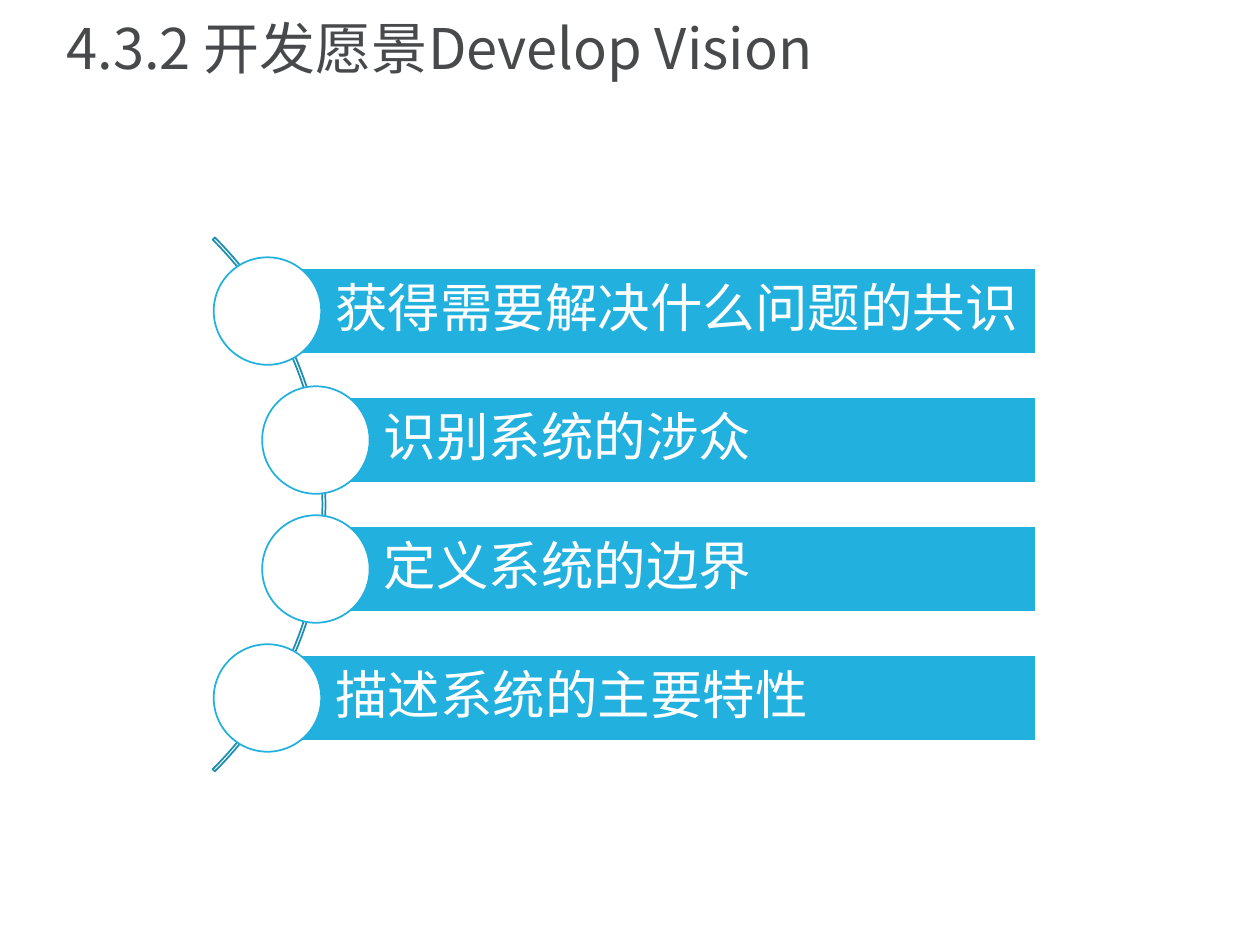
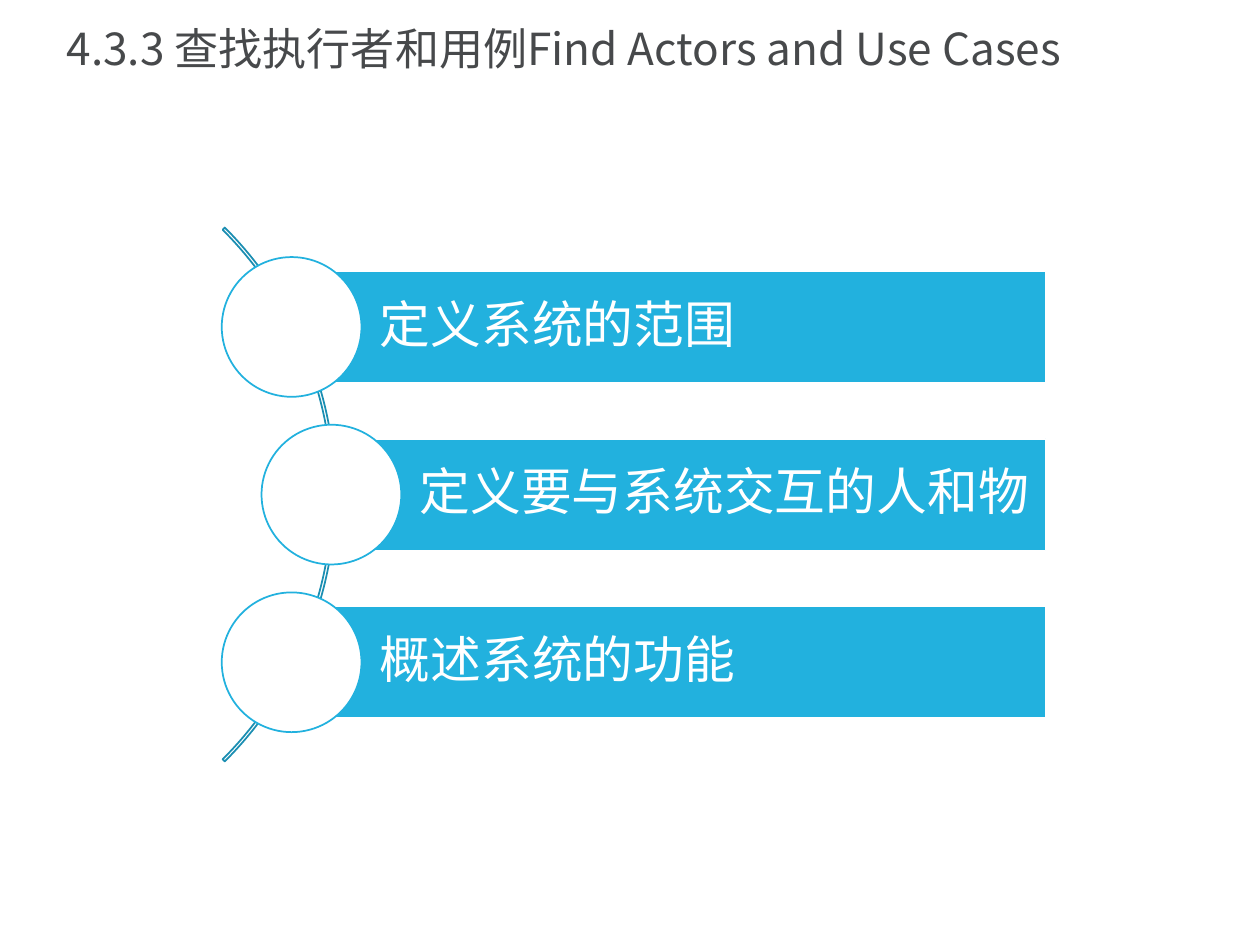
from math import sqrt

from pptx import Presentation
from pptx.dml.color import RGBColor
from pptx.enum.shapes import MSO_SHAPE as Kind
from pptx.enum.text import MSO_ANCHOR as Anchor, MSO_AUTO_SIZE as Auto, PP_ALIGN as Align
from pptx.oxml.ns import qn
from pptx.util import Cm, Pt

# Lengths in cm: hub is the centre of the arc, pitch the step between bars.
SLIDES = [
    {
        "title": "4.3.2 开发愿景Develop Vision", "size": 32,
        "hub": (-1.05, 10.17), "pitch": 2.6, "text": 30,
        "goals": ["获得需要解决什么问题的共识", "识别系统的涉众",
                  "定义系统的边界", "描述系统的主要特性"],
    },
    {
        "title": "4.3.3 查找执行者和用例Find Actors and Use Cases", "size": 25.2,
        "hub": (-0.85, 9.97), "pitch": 3.38, "text": 29,
        "goals": ["定义系统的范围", "定义要与系统交互的人和物", "概述系统的功能"],
    },
]

BLUE, DEEP, WHITE, GREY = "22B1DE", "1B8EB2", "FFFFFF", "47494B"
HEAD_FONT, BODY_FONT = "Noto Sans CJK SC", "Calibri"
TITLE_BOX = (1.09, 0.15, 22.99, 1.78)
ARC_R = 7.61    # outer radius of the arc
RING_R = 7.53   # radius on which the dots sit
REACH = 21.93   # from the hub to the right end of the bars
PAD = 0.2


def rgb(code):
    return RGBColor.from_string(code)


def style(item, **values):
    for name, value in values.items():
        setattr(item, name, value)


def write(shape, text, size, font, color):
    frame = shape.text_frame
    frame.text = text
    style(frame, word_wrap=True, auto_size=Auto.NONE, vertical_anchor=Anchor.MIDDLE)
    para = frame.paragraphs[0]
    style(para, alignment=Align.LEFT, line_spacing=0.9)
    run = para.runs[0]
    style(run.font, name=font, size=Pt(size))
    run.font.color.rgb = rgb(color)
    return run


def draw(slide, kind, box, line, fill=None):
    shape = slide.shapes.add_shape(kind, *map(Cm, box))
    shape.shadow.inherit = False
    if fill:
        shape.fill.solid()
        shape.fill.fore_color.rgb = rgb(fill)
    else:
        shape.fill.background()
    shape.line.color.rgb = rgb(line)
    shape.line.width = Pt(1)
    return shape


def disc(x, y, r):
    """Box of a circle with centre x, y and radius r."""
    return x - r, y - r, 2 * r, 2 * r


def add_title(slide, text, size):
    title = slide.shapes.title
    style(title, **dict(zip(("left", "top", "width", "height"), map(Cm, TITLE_BOX))))
    run = write(title, text, size, HEAD_FONT, GREY)
    east = run.font._element.makeelement(qn("a:ea"), {"typeface": HEAD_FONT})
    run.font._element.find(qn("a:latin")).addnext(east)


def add_goals(slide, hub, pitch, size, goals):
    hub_x, hub_y = hub
    arc = draw(slide, Kind.BLOCK_ARC, disc(hub_x, hub_y, ARC_R), DEEP)
    for i, value in enumerate((189, 27, 0.004)):
        arc.adjustments[i] = value

    high = pitch / 1.5
    for i, goal in enumerate(goals):
        rise = (i - (len(goals) - 1) / 2) * pitch
        x, y = hub_x + sqrt(RING_R ** 2 - rise ** 2), hub_y + rise
        bar = draw(slide, Kind.RECTANGLE,
                   (x, y - high / 2, hub_x + REACH - x, high), WHITE, BLUE)
        write(bar, goal, size, BODY_FONT, WHITE)
        style(bar.text_frame, margin_left=Cm(high * 0.79), margin_right=Cm(PAD),
              margin_top=Cm(PAD), margin_bottom=Cm(PAD))
        draw(slide, Kind.OVAL, disc(x, y, high * 0.625), BLUE, WHITE)


def main():
    deck = Presentation()
    style(deck, slide_width=Cm(25.4), slide_height=Cm(19.05))
    for page in SLIDES:
        slide = deck.slides.add_slide(deck.slide_layouts[5])
        add_title(slide, page["title"], page["size"])
        add_goals(slide, page["hub"], page["pitch"], page["text"], page["goals"])
    deck.save("out.pptx")


if __name__ == "__main__":
    main()
